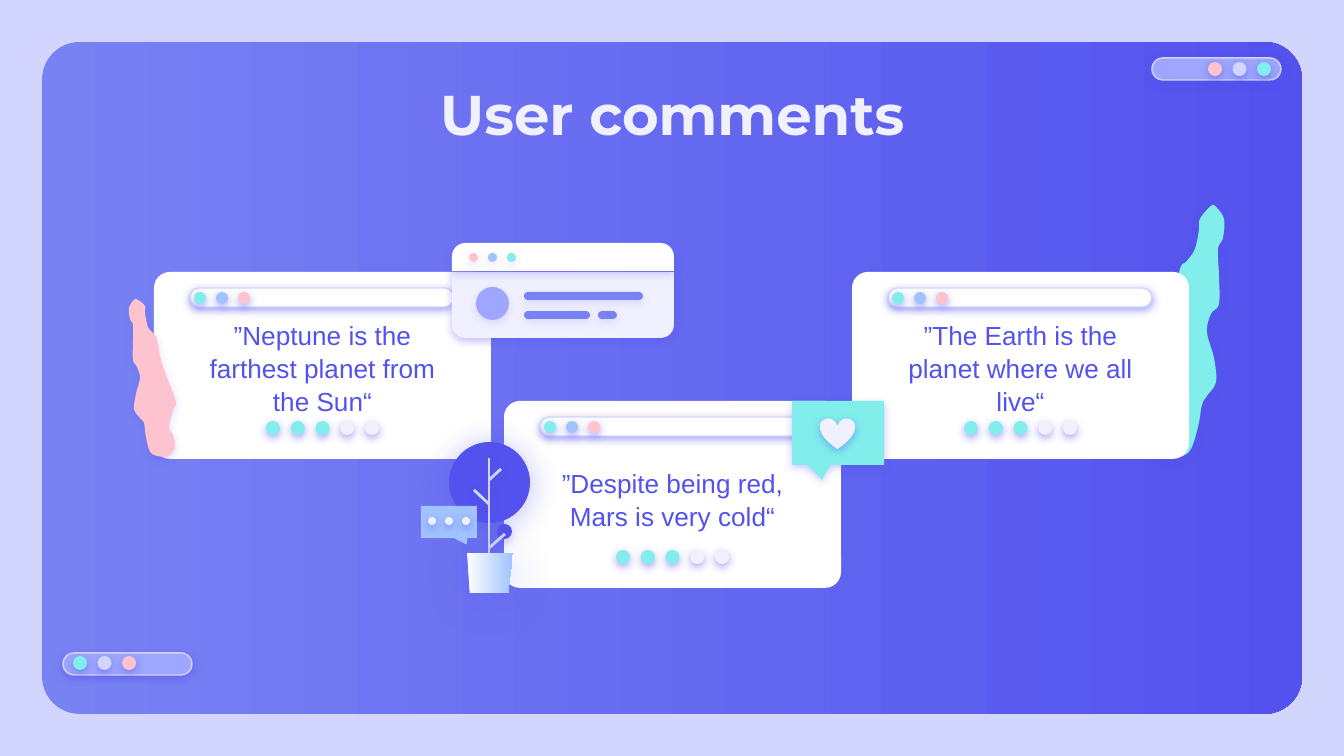
"""Build the "User comments" slide: three quote cards with ratings and decorations."""
from lxml.etree import SubElement
from pptx import Presentation
from pptx.dml.color import RGBColor
from pptx.enum.shapes import MSO_CONNECTOR, MSO_SHAPE as SHAPE
from pptx.enum.text import MSO_ANCHOR as ANCHOR, MSO_AUTO_SIZE, PP_ALIGN
from pptx.oxml.ns import qn
from pptx.util import Pt

PX = 914400 / 134.4
THEME = dict(
    back="D2D6FF", indigo="5352EE", blue="7882F3", lilac="9EA6FF", sky="A1C3FF",
    teal="81EEEB", pink="FFC3D0", pale="F1F0FF", white="FFFFFF",
    title=dict(name="Montserrat", size=Pt(30), bold=True),
    quote=dict(name="Arial", size=Pt(14), bold=False),
)

TITLE = ("User comments", (106, 66, 1133, 85))
CARD_SIZE = (337, 187)
CARDS = [
    ("”Neptune is the farthest planet from the Sun“", 154, 272, 320),
    ("”Despite being red, Mars is very cold“", 504, 401, 452),
    ("”The Earth is the planet where we all live“", 852, 272, 320),
]
RATING = ["teal"] * 3 + ["pale"] * 2
BAR_DOTS = ["teal", "sky", "pink"]
PILLS = [
    (1152, 58, 1208, 62, ["pink", "back", "teal"]),
    (63, 653, 73, 656, ["teal", "back", "pink"]),
]
WINDOW_LINES = [(524, 292, 119, 8), (524, 311, 66, 8), (598, 311, 19, 8)]
STEM_LINES = [(489, 458, 489, 553), (474, 490, 489, 504),
              (501, 469, 489, 480), (505, 534, 489, 548)]
POT = [(467, 553), (513, 553), (508, 593), (470, 593)]
TEAL_BLOB = [
    (1211, 206), (1200, 219), (1199, 230), (1195, 249), (1187, 261), (1180, 269),
    (1173, 304), (1164, 336), (1149, 370), (1154, 384), (1160, 411), (1154, 425),
    (1152, 444), (1159, 454), (1171, 458), (1189, 452), (1198, 427), (1202, 405),
    (1207, 396), (1216, 382), (1214, 358), (1207, 332), (1211, 314), (1219, 304),
    (1219, 276), (1218, 249), (1223, 238), (1224, 219), (1216, 207),
]
PINK_BLOB = [
    (138, 300), (145, 306), (145, 313), (148, 327), (153, 333), (157, 339),
    (161, 360), (168, 380), (176, 402), (173, 410), (169, 427), (173, 435),
    (175, 448), (168, 456), (164, 457), (151, 453), (146, 437), (144, 423),
    (140, 418), (134, 409), (136, 394), (140, 378), (137, 367), (133, 360),
    (133, 343), (133, 325), (130, 319), (129, 308), (134, 300),
]


def emu(*values):
    return [round(v * PX) for v in values]


def rgb(name):
    return RGBColor.from_string(THEME[name])


def add_shadow(sp, alpha, blur=4.5):
    props = sp._element.spPr
    effects = props.find(qn("a:effectLst"))
    if effects is None:
        effects = SubElement(props, qn("a:effectLst"))
    if alpha:
        outer = SubElement(effects, qn("a:outerShdw"), blurRad=str(Pt(blur)),
                           dist=str(Pt(1.5)), dir="5400000", algn="bl", rotWithShape="0")
        color = SubElement(outer, qn("a:srgbClr"), val=THEME["indigo"])
        SubElement(color, qn("a:alpha"), val=str(alpha * 1000))


def paint(sp, fill, line=None, alpha=0, blur=4.5):
    if isinstance(fill, tuple):
        sp.fill.gradient()
        sp.fill.gradient_angle = 0
        for stop, name in zip(sp.fill.gradient_stops, fill):
            stop.color.rgb = rgb(name)
    else:
        sp.fill.solid()
        sp.fill.fore_color.rgb = rgb(fill)
    if line:
        sp.line.color.rgb = rgb(line)
        sp.line.width = Pt(0.75)
    else:
        sp.line.fill.background()
    sp.shadow.inherit = False
    add_shadow(sp, alpha, blur)
    return sp


def add(host, kind, box, fill, adj=(), **style):
    sp = host.add_shape(kind, *emu(*box))
    for i, value in enumerate(adj):
        sp.adjustments[i] = value
    return paint(sp, fill, **style)


def add_dots(host, x, y, size, span, colors, alpha=50):
    for i, name in enumerate(colors):
        left = x + span * i / (len(colors) - 1)
        add(host, SHAPE.OVAL, (left, y, size, size), name, alpha=alpha)


def add_outline(host, points, fill, **style):
    start, *rest = [emu(*point) for point in points]
    builder = host.build_freeform(*start)
    builder.add_line_segments(rest, close=True)
    return paint(builder.convert_to_shape(), fill, **style)


def smooth(points, steps=6):
    curve = []
    for i, b in enumerate(points):
        a, c, d = (points[(i + k) % len(points)] for k in (-1, 1, 2))
        for t in (n / steps for n in range(steps)):
            curve.append([
                q + t / 2 * (r - p + t * (2 * p - 5 * q + 4 * r - u + t * (3 * q - p - 3 * r + u)))
                for p, q, r, u in zip(a, b, c, d)])
    return curve


def write(sp, text, box, font, color, anchor, spacing):
    sp._element.getparent().append(sp._element)
    sp.left, sp.top, sp.width, sp.height = emu(*box)
    tf = sp.text_frame
    tf.text = text
    inset = Pt(7.2)
    frame = dict(word_wrap=True, auto_size=MSO_AUTO_SIZE.NONE, vertical_anchor=anchor,
                 margin_left=inset, margin_right=inset, margin_top=inset, margin_bottom=inset)
    for key, value in frame.items():
        setattr(tf, key, value)
    p = tf.paragraphs[0]
    for key, value in dict(alignment=PP_ALIGN.CENTER, line_spacing=spacing,
                           space_before=Pt(0)).items():
        setattr(p, key, value)
    pPr = p._p.get_or_add_pPr()
    pPr.set("marL", "0")
    pPr.set("indent", "0")
    SubElement(pPr, qn("a:buNone"))
    r = p.runs[0]
    for key, value in THEME[font].items():
        setattr(r.font, key, value)
    r.font.color.rgb = rgb(color)


def add_card(s, sp, text, x, y, text_y):
    add(s.shapes, SHAPE.ROUNDED_RECTANGLE, (x, y, *CARD_SIZE), "white", [0.085])
    write(sp, text, (x + 40, text_y, 257, 94), "quote", "indigo", ANCHOR.MIDDLE, 1.05)
    paint(sp, "white")
    bar = s.shapes.add_group_shape().shapes
    add(bar, SHAPE.ROUNDED_RECTANGLE, (x + 36, y + 16, 264, 19), "white", [0.5],
        line="back", alpha=50)
    add_dots(bar, x + 40, y + 20, 12, 44, BAR_DOTS)
    add_dots(s.shapes.add_group_shape().shapes, x + 112, y + 149, 14, 99, RATING)


def add_window(host):
    add(host, SHAPE.ROUND_2_SAME_RECTANGLE, (452, 272, 222, 66), "pale", [0, 0.2], alpha=34)
    add(host, SHAPE.ROUND_2_SAME_RECTANGLE, (452, 243, 222, 28), "white", [0.48, 0], alpha=24)
    add_dots(host, 469, 253, 9, 38, BAR_DOTS[::-1], alpha=14)
    add(host, SHAPE.OVAL, (476, 287, 33, 33), "lilac", alpha=14)
    for box in WINDOW_LINES:
        add(host, SHAPE.ROUNDED_RECTANGLE, box, "blue", [0.5], alpha=14)


def add_plant(host):
    add(host, SHAPE.OVAL, (449, 442, 81, 81), "indigo", alpha=36, blur=16.9)
    add(host, SHAPE.OVAL, (497, 524, 15, 15), "indigo", alpha=26)
    for ends in STEM_LINES:
        stem = host.add_connector(MSO_CONNECTOR.STRAIGHT, *emu(*ends))
        stem.line.color.rgb = rgb("back")
        stem.line.width = Pt(1.5)
        add_shadow(stem, 28)
    add_outline(host, POT, ("white", "sky"), alpha=24, blur=25.9)
    add(host, SHAPE.ROUNDED_RECTANGULAR_CALLOUT, (421, 506, 56, 32), "sky", [0.317, 0.706, 0])
    add_dots(host, 428, 517, 8, 34, ["pale"] * 3)


def main():
    prs = Presentation()
    prs.slide_width, prs.slide_height = emu(1344, 756)
    s = prs.slides.add_slide(prs.slide_layouts[4])
    s.background.fill.solid()
    s.background.fill.fore_color.rgb = rgb("back")
    title, *bodies, spare = list(s.placeholders)
    spare._element.getparent().remove(spare._element)

    add(s.shapes, SHAPE.ROUNDED_RECTANGLE, (42, 42, 1260, 672), ("blue", "indigo"), [0.056])
    for x, y, dot_x, dot_y, colors in PILLS:
        add(s.shapes, SHAPE.ROUNDED_RECTANGLE, (x, y, 129, 22), "lilac", [0.5],
            line="back", alpha=50)
        add_dots(s.shapes.add_group_shape().shapes, dot_x, dot_y, 14, 49, colors)
    write(title, *TITLE, "title", "pale", ANCHOR.TOP, 1.0)
    add_outline(s.shapes, smooth(TEAL_BLOB), "teal", alpha=18)
    for sp, card in zip(bodies, CARDS):
        add_card(s, sp, *card)
    add_window(s.shapes.add_group_shape().shapes)
    add_outline(s.shapes, smooth(PINK_BLOB), "pink", alpha=18)
    add_plant(s.shapes.add_group_shape().shapes)
    like = s.shapes.add_group_shape().shapes
    add(like, SHAPE.ROUNDED_RECTANGULAR_CALLOUT, (792, 401, 92, 64), "teal",
        [-0.174, 0.731, 0], alpha=31)
    add(like, SHAPE.HEART, (820, 418, 35, 31), "pale", alpha=38)
    prs.save("out.pptx")


if __name__ == "__main__":
    main()
